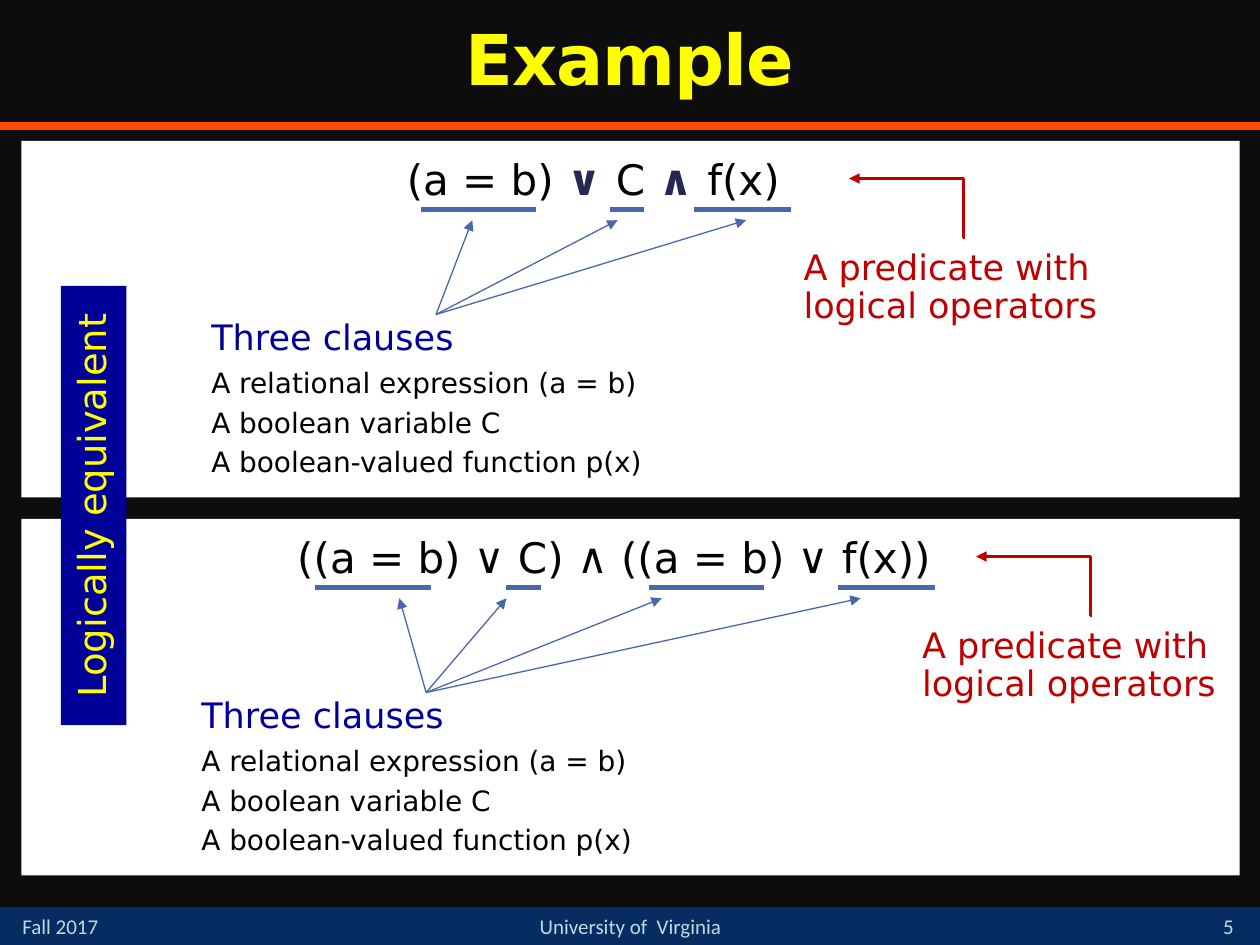
from dataclasses import dataclass

from lxml.etree import SubElement
from pptx import Presentation
from pptx.dml.color import RGBColor
from pptx.enum.shapes import MSO_CONNECTOR, MSO_SHAPE
from pptx.enum.text import MSO_ANCHOR, PP_ALIGN
from pptx.oxml.ns import qn
from pptx.util import Cm, Pt


@dataclass(frozen=True)
class Theme:
    background: str = "0D0D0D"
    panel: str = "FFFFFF"
    rule: str = "FF4C00"
    footer_band: str = "072C62"
    footer_text: str = "BDDADF"
    highlight: str = "FFFF00"
    navy: str = "000099"
    text: str = "000000"
    operator: str = "242852"
    accent: str = "4A66AC"
    note: str = "C00000"
    body_font: str = "DejaVu Sans"
    footer_font: str = "Calibri"
    title_size: int = 40
    formula_size: int = 24
    badge_size: int = 22
    heading_size: int = 20
    item_size: int = 16
    footer_size: int = 12


THEME = Theme()
WIDTH, HEIGHT = 25.4, 19.05
TITLE_HEIGHT = 2.54
PANEL_LEFT, PANEL_TOP, PANEL_WIDTH, PANEL_HEIGHT = 0.43, 2.84, 24.56, 7.19
PANEL_PITCH = 7.62

# Footer: text, left, top, width, height, alignment, anchor
FOOTERS = [
    ("Fall 2017", 0.2, 18.29, 2.97, 0.76, PP_ALIGN.LEFT, MSO_ANCHOR.TOP),
    ("5", 24.13, 18.21, 1.27, 0.84, PP_ALIGN.CENTER, MSO_ANCHOR.BOTTOM),
    ("University of  Virginia", 9.32, 18.29, 6.78, 0.76, PP_ALIGN.CENTER, MSO_ANCHOR.TOP),
]
CLAUSE_HEADING = "Three clauses"
# Clause text and the space before it in points
CLAUSES = [
    ("A relational expression (a = b)", 8),
    ("A boolean variable C", 7),
    ("A boolean-valued function p(x)", 7),
]
NOTE_LINES = ["A predicate with", "logical operators"]
UNDERLINE_WIDTHS = {"relation": 2.33, "variable": 0.69, "function": 1.95}

# Formula spans are (text, is highlighted operator); marks are
# (clause kind, underline left, arrow tip).
PANELS = [
    {
        "formula": [("(a = b) ", False), ("∨ ", True), ("C ", False), ("∧ ", True), ("f(x)", False)],
        "formula_left": 5.28, "formula_width": 13.36,
        "marks": [("relation", 8.48, 9.52), ("variable", 12.29, 12.45), ("function", 14.0, 15.04)],
        "arrow_start": 8.79, "clauses_left": 4.01,
        "note_left": 15.95, "elbow_start": 19.46,
    },
    {
        "formula": [("((a = b) ∨ C) ∧ ((a = b) ∨ f(x))", False)],
        "formula_left": 5.08, "formula_width": 14.6,
        "marks": [("relation", 6.35, 8.05), ("variable", 10.21, 10.21),
                  ("relation", 13.08, 13.34), ("function", 16.89, 17.35)],
        "arrow_start": 8.59, "clauses_left": 3.81,
        "note_left": 18.34, "elbow_start": 22.02,
    },
]


def color(value):
    return RGBColor.from_string(value)


def add_box(page, left, top, width, height, anchor=MSO_ANCHOR.TOP):
    box = page.shapes.add_textbox(Cm(left), Cm(top), Cm(width), Cm(height))
    box.text_frame.word_wrap = True
    box.text_frame.vertical_anchor = anchor
    return box.text_frame


def add_rectangle(page, left, top, width, height, fill):
    shape = page.shapes.add_shape(MSO_SHAPE.RECTANGLE, Cm(left), Cm(top), Cm(width), Cm(height))
    shape.shadow.inherit = False
    shape.fill.solid()
    shape.fill.fore_color.rgb = color(fill)
    shape.line.fill.background()
    return shape


def add_line(page, start, end, stroke, weight, arrow=False, kind=MSO_CONNECTOR.STRAIGHT):
    line = page.shapes.add_connector(kind, *(Cm(value) for value in (*start, *end)))
    line.line.color.rgb = color(stroke)
    line.line.width = Pt(weight)
    properties = line._element.spPr
    if arrow:
        SubElement(properties.find(qn("a:ln")), qn("a:tailEnd"), type="triangle")
    SubElement(properties, qn("a:effectLst"))
    return line


def style(paragraph, size, ink, align=PP_ALIGN.LEFT, spacing=None, before=0, font=THEME.body_font):
    paragraph.alignment = align
    paragraph.line_spacing = spacing
    paragraph.space_before = Pt(before)
    paragraph.font.name = font
    paragraph.font.size = Pt(size)
    paragraph.font.color.rgb = color(ink)


def write(frame, text, size, ink, **options):
    """Fill the frame's empty first paragraph, or append a new one."""
    first = frame.paragraphs[0]
    paragraph = frame.add_paragraph() if first.runs else first
    span = paragraph.add_run()
    span.text = text
    style(paragraph, size, ink, **options)
    return paragraph


def add_frame(page):
    """Draw the title, the rule below it and the footer band."""
    page.background.fill.solid()
    page.background.fill.fore_color.rgb = color(THEME.background)
    add_rectangle(page, 0, 18.29, WIDTH, 0.76, THEME.footer_band)
    add_line(page, (0, TITLE_HEIGHT), (WIDTH, TITLE_HEIGHT), THEME.rule, 4.5)
    for text, left, top, width, height, align, anchor in FOOTERS:
        write(add_box(page, left, top, width, height, anchor), text, THEME.footer_size,
              THEME.footer_text, align=align, font=THEME.footer_font)
    frame = add_box(page, 0, 0, WIDTH, TITLE_HEIGHT, MSO_ANCHOR.MIDDLE)
    title = write(frame, "Example", THEME.title_size, THEME.highlight,
                  align=PP_ALIGN.CENTER, spacing=0.9)
    title.font.bold = True
    title.runs[0].font._element.set("spc", "-50")


def add_formula(page, panel, top):
    frame = add_box(page, panel["formula_left"], top + 0.13, panel["formula_width"], 1.27)
    paragraph = frame.paragraphs[0]
    style(paragraph, THEME.formula_size, THEME.text, align=PP_ALIGN.CENTER)
    for text, is_operator in panel["formula"]:
        span = paragraph.add_run()
        span.text = text
        if is_operator:
            span.font.bold = True
            span.font.color.rgb = color(THEME.operator)


def add_panel(page, panel, top):
    add_rectangle(page, PANEL_LEFT, top, PANEL_WIDTH, PANEL_HEIGHT, THEME.panel)

    clauses_top = top + 3.5
    clauses = add_box(page, panel["clauses_left"], clauses_top, 9.53, 3.5)
    write(clauses, CLAUSE_HEADING, THEME.heading_size, THEME.navy, spacing=0.9)
    for text, before in CLAUSES:
        write(clauses, text, THEME.item_size, THEME.text, spacing=0.8, before=before)

    note = add_box(page, panel["note_left"], top + 2.08, 6.55, 1.8)
    for text in NOTE_LINES:
        write(note, text, THEME.heading_size, THEME.note, spacing=0.9)
    elbow_start = panel["elbow_start"]
    elbow = add_line(page, (elbow_start, top + 1.95), (elbow_start - 2.34, top + 0.76),
                     THEME.note, 1.5, arrow=True, kind=MSO_CONNECTOR.ELBOW)
    adjustments = elbow._element.spPr.find(qn("a:prstGeom")).get_or_add_avLst()
    SubElement(adjustments, qn("a:gd"), name="adj1", fmla="val 1500")

    add_formula(page, panel, top)
    underline_top = top + 1.38
    for kind, left, tip in panel["marks"]:
        add_line(page, (left, underline_top), (left + UNDERLINE_WIDTHS[kind], underline_top),
                 THEME.accent, 3)
        add_line(page, (panel["arrow_start"], clauses_top), (tip, top + 1.6),
                 THEME.accent, 0.75, arrow=True)


def add_badge(page):
    badge = add_rectangle(page, -2.54, 9.53, 8.86, 1.32, THEME.navy)
    badge.rotation = 270
    badge.text_frame.vertical_anchor = MSO_ANCHOR.MIDDLE
    write(badge.text_frame, "Logically equivalent", THEME.badge_size, THEME.highlight,
          align=PP_ALIGN.CENTER, spacing=0.9)


def main():
    deck = Presentation()
    deck.slide_width, deck.slide_height = Cm(WIDTH), Cm(HEIGHT)
    page = deck.slides.add_slide(deck.slide_layouts[6])
    add_frame(page)
    for index, panel in enumerate(PANELS):
        add_panel(page, panel, PANEL_TOP + index * PANEL_PITCH)
    add_badge(page)
    deck.save("out.pptx")


if __name__ == "__main__":
    main()
